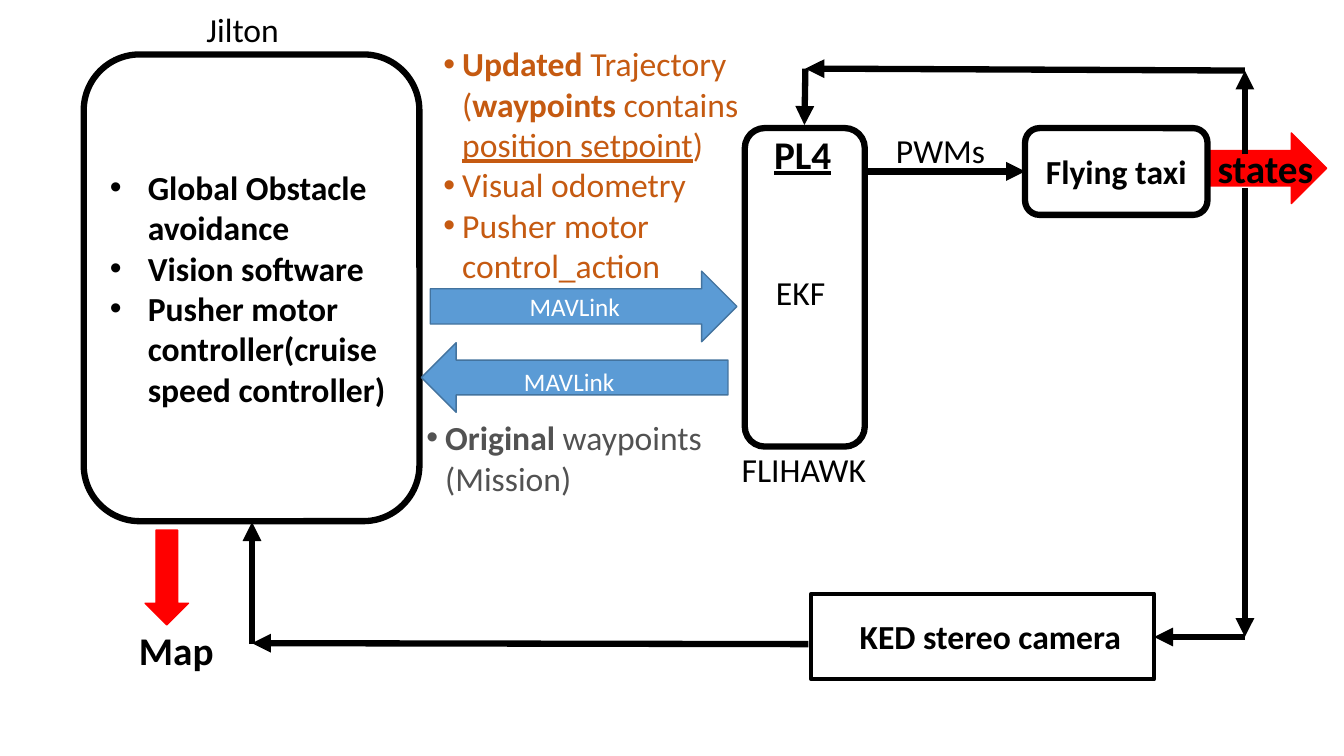
from dataclasses import dataclass
from typing import Optional

import lxml.etree
import pptx
import pptx.dml.color
import pptx.enum.shapes
import pptx.enum.text
import pptx.oxml.ns
import pptx.util

Pt = pptx.util.Pt
RGBColor = pptx.dml.color.RGBColor
Preset = pptx.enum.shapes.MSO_SHAPE
Align = pptx.enum.text.PP_ALIGN
qn = pptx.oxml.ns.qn

BLACK = RGBColor(0x00, 0x00, 0x00)
WHITE = RGBColor(0xFF, 0xFF, 0xFF)
RED = RGBColor(0xFF, 0x00, 0x00)
BLUE = RGBColor(0x5B, 0x9B, 0xD5)
DARK_BLUE = RGBColor(0x43, 0x73, 0x9E)
ORANGE = RGBColor(0xC5, 0x5A, 0x11)
GREY = RGBColor(0x52, 0x52, 0x52)
FONT = "Calibri"


@dataclass(frozen=True)
class Run:
    text: str
    bold: bool = False
    underline: bool = False


@dataclass(frozen=True)
class Copy:
    paragraphs: tuple[tuple[Run, ...], ...]
    size: float = 24
    color: RGBColor = BLACK
    indent: float = 0
    centered: bool = False


@dataclass(frozen=True)
class Block:
    preset: Preset
    box: tuple[float, float, float, float]
    fill: Optional[RGBColor]
    line: RGBColor
    weight: float
    copy: Optional[Copy] = None
    rotation: float = 0


@dataclass(frozen=True)
class Label:
    box: tuple[float, float, float, float]
    copy: Copy
    wrap: bool = False


@dataclass(frozen=True)
class Flow:
    start: tuple[float, float]
    end: tuple[float, float]


def line_of(text: str, size: float = 24, color: RGBColor = BLACK, bold: bool = False,
            underline: bool = False, centered: bool = False) -> Copy:
    return Copy(((Run(text, bold, underline),),), size, color, centered=centered)


def write_copy(frame: pptx.text.text.TextFrame, copy: Copy) -> None:
    for index, runs in enumerate(copy.paragraphs):
        paragraph = frame.paragraphs[0] if index == 0 else frame.add_paragraph()
        paragraph.alignment = Align.CENTER if copy.centered else Align.LEFT
        if copy.indent:
            properties = paragraph._p.get_or_add_pPr()
            properties.set("marL", str(Pt(copy.indent)))
            properties.set("indent", str(-Pt(copy.indent)))
            lxml.etree.SubElement(properties, qn("a:buFont")).set("typeface", "Arial")
            lxml.etree.SubElement(properties, qn("a:buChar")).set("char", "•")
        for part in runs:
            for row, text in enumerate(part.text.split("\n")):
                if row:
                    paragraph.add_line_break()
                if not text:
                    continue
                run = paragraph.add_run()
                run.text = text
                run.font.name = FONT
                run.font.size = Pt(copy.size)
                run.font.bold = part.bold
                run.font.underline = part.underline
                run.font.color.rgb = copy.color


def draw_block(slide: pptx.slide.Slide, block: Block) -> None:
    shape = slide.shapes.add_shape(block.preset, *map(Pt, block.box))
    shape.shadow.inherit = False
    shape.rotation = block.rotation
    if block.fill is None:
        shape.fill.background()
    else:
        shape.fill.solid()
        shape.fill.fore_color.rgb = block.fill
    shape.line.color.rgb = block.line
    shape.line.width = Pt(block.weight)
    if block.copy:
        shape.text_frame.word_wrap = True
        shape.text_frame.vertical_anchor = pptx.enum.text.MSO_ANCHOR.MIDDLE
        write_copy(shape.text_frame, block.copy)


def draw_flow(slide: pptx.slide.Slide, flow: Flow) -> None:
    connector = slide.shapes.add_connector(
        pptx.enum.shapes.MSO_CONNECTOR.STRAIGHT, *map(Pt, flow.start + flow.end))
    connector.line.color.rgb = BLACK
    connector.line.width = Pt(4.5)
    line = connector.line._get_or_add_ln()
    lxml.etree.SubElement(line, qn("a:tailEnd")).set("type", "triangle")
    lxml.etree.SubElement(connector._element.spPr, qn("a:effectLst"))


def draw_label(slide: pptx.slide.Slide, label: Label) -> None:
    frame = slide.shapes.add_textbox(*map(Pt, label.box)).text_frame
    frame.word_wrap = label.wrap
    frame.auto_size = pptx.enum.text.MSO_AUTO_SIZE.SHAPE_TO_FIT_TEXT
    write_copy(frame, label.copy)


COMPUTER_TASKS = Copy((
    (Run("Global Obstacle avoidance", True),),
    (Run("Vision software", True),),
    (Run("Pusher motor controller(cruise speed controller)", True),),
), indent=27)

OUTGOING = Copy((
    (Run("Updated", True), Run(" Trajectory\n("), Run("waypoints", True),
     Run(" contains\n"), Run("position setpoint", underline=True), Run(")")),
    (Run("Visual odometry"),),
    (Run("Pusher motor control_action"),),
), color=ORANGE, indent=13.5)

INCOMING = Copy(((Run("Original", True), Run(" waypoints\n(Mission)")),),
                color=GREY, indent=13.5)

BLOCKS = (
    Block(Preset.RIGHT_ARROW, (862.6, 95, 85, 50.4), RED, RED, 1),
    Block(Preset.ROUNDED_RECTANGLE, (532, 91.5, 85.7, 227.5), WHITE, BLACK, 4.5),
    Block(Preset.ROUNDED_RECTANGLE, (732.2, 91.5, 130.3, 62), WHITE, BLACK, 4.5,
          line_of("Flying taxi", bold=True, centered=True)),
    Block(Preset.RIGHT_ARROW, (307.4, 193.7, 219, 50.4), BLUE, DARK_BLUE, 1,
          line_of("MAVLink", 18, WHITE, centered=True)),
    Block(Preset.ROUNDED_RECTANGLE, (59.8, 38.9, 239.8, 333.4), WHITE, BLACK, 4.5,
          COMPUTER_TASKS),
    Block(Preset.RIGHT_ARROW, (301, 244.8, 219, 49.7), BLUE, DARK_BLUE, 1, rotation=180),
    Block(Preset.RECTANGLE, (579.6, 424.1, 244.8, 61.2), None, BLACK, 3),
    Block(Preset.DOWN_ARROW, (103.7, 378.7, 31, 67.7), RED, RED, 1),
)

STATES_X = 889.2
FLOWS = (
    Flow((STATES_X, 110.2), (STATES_X, 50.4)),
    Flow((617.8, 122.4), (732.2, 122.4)),
    Flow((STATES_X, 50.4), (575.3, 49)),
    Flow((575.3, 49), (574.6, 89.3)),
    Flow((STATES_X, 134.6), (STATES_X, 455)),
    Flow((STATES_X, 455), (824.4, 455)),
    Flow((577.4, 460.1), (180, 459.4)),
    Flow((180, 460.1), (180, 373)),
)

LABELS = (
    Label((862.6, 99.4, 83.5, 41), line_of("states", 28, bold=True), True),
    Label((545.8, 89.3, 58.3, 41), line_of("PL4", 28, bold=True, underline=True)),
    Label((547.2, 190.8, 50.4, 36), line_of("EKF")),
    Label((522.7, 316.8, 108, 36), line_of("FLIHAWK")),
    Label((140.4, 2.9, 77, 36), line_of("Jilton")),
    Label((309.6, 27.4, 229.7, 203.8), OUTGOING, True),
    Label((367.2, 257.8, 79.9, 28.8), line_of("MAVLink", 18, WHITE)),
    Label((297.4, 294.5, 229.7, 65.5), INCOMING, True),
    Label((607, 436.3, 201.6, 36), line_of("KED stereo camera", bold=True)),
    Label((92.2, 444.2, 83.5, 41), line_of("Map", 28, bold=True), True),
    Label((632.9, 89.3, 78.5, 36), line_of("PWMs")),
)


def main() -> None:
    deck = pptx.Presentation()
    deck.slide_width, deck.slide_height = Pt(960), Pt(540)
    slide = deck.slides.add_slide(deck.slide_layouts[6])
    for block in BLOCKS:
        draw_block(slide, block)
    for flow in FLOWS:
        draw_flow(slide, flow)
    for label in LABELS:
        draw_label(slide, label)
    deck.save("out.pptx")


if __name__ == "__main__":
    main()
